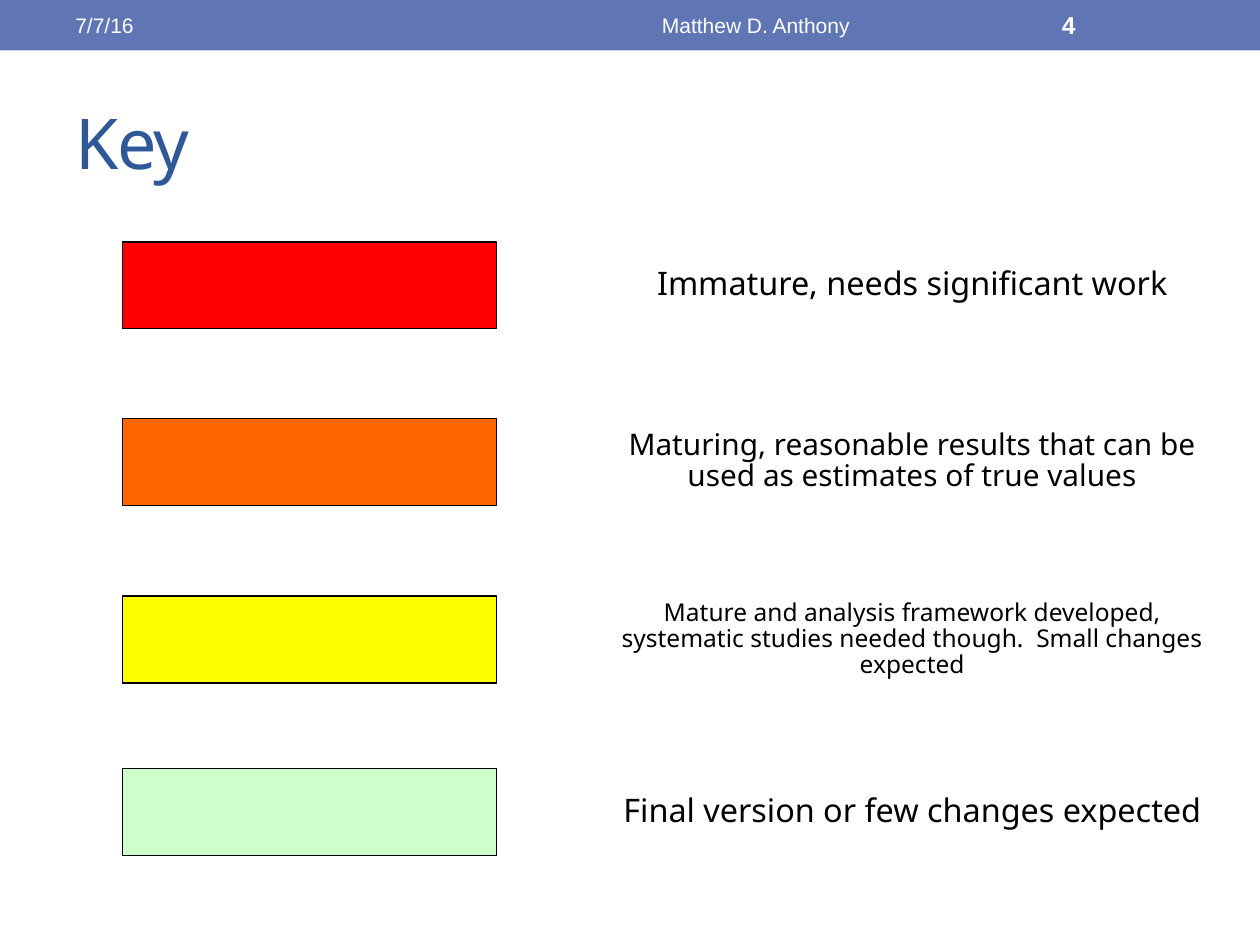
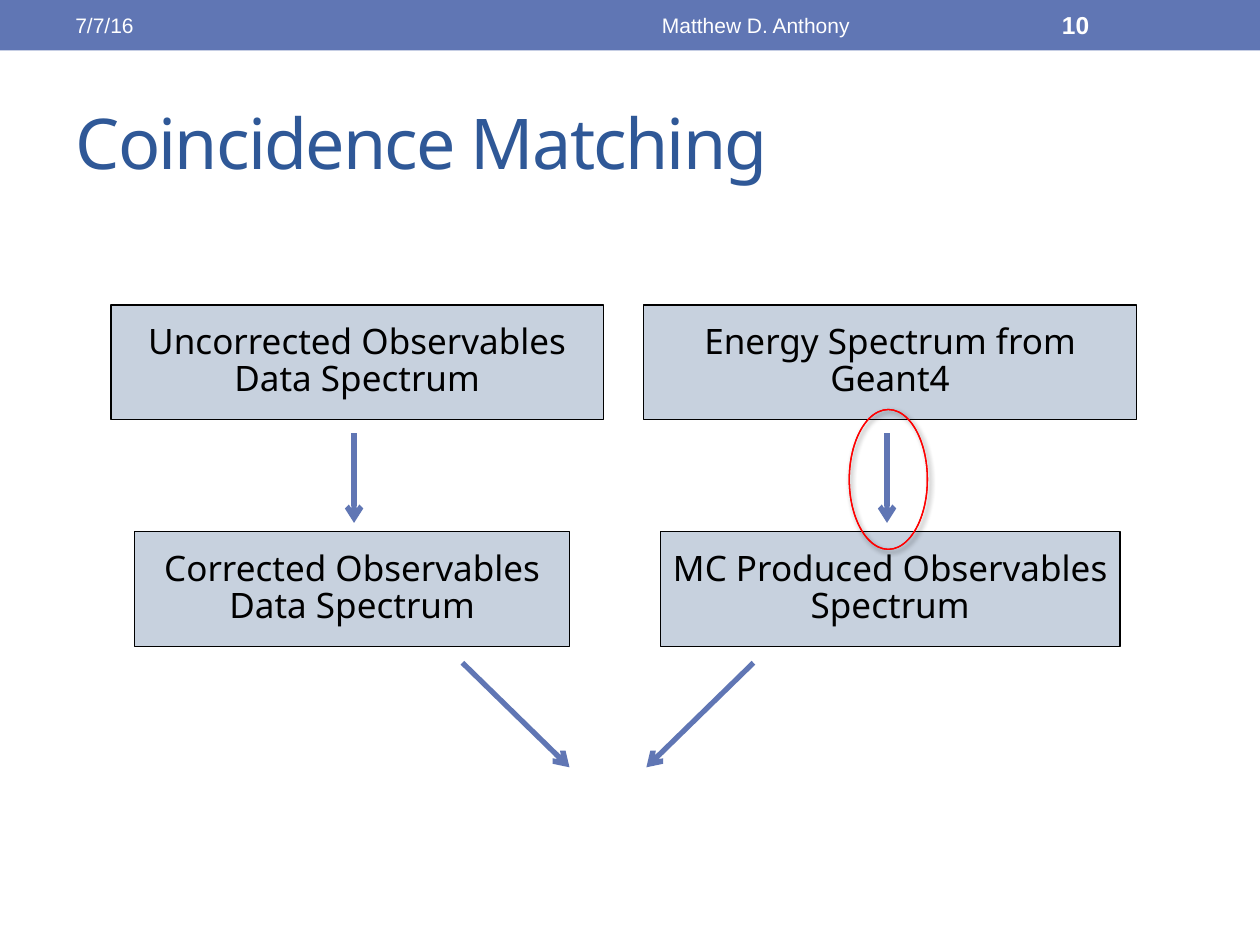
from dataclasses import dataclass
from typing import Optional

from lxml.etree import SubElement
from pptx import Presentation
from pptx.dml.color import RGBColor
from pptx.enum.shapes import MSO_CONNECTOR, MSO_SHAPE
from pptx.enum.text import MSO_ANCHOR, MSO_AUTO_SIZE, PP_ALIGN
from pptx.oxml.ns import qn
from pptx.util import Inches, Pt

WIDTH, HEIGHT = Inches(10), Inches(7.5)
COLUMNS, ROWS = 100, 75
BLUE, TITLE_BLUE, PALE_BLUE = "6076B4", "2F5897", "C7D1DE"
RED, WHITE, BLACK = "FF0000", "FFFFFF", "000000"
BODY_FONT, BAND_FONT = "Noto Sans", "Arial"
LINE_SPACING = 0.88


@dataclass(frozen=True)
class Area:
    """A rectangle measured in grid columns and rows."""
    column: float
    row: float
    columns: float
    rows: float

    def lengths(self) -> tuple:
        """Return left, top, width and height as slide lengths."""
        return across(self.column), down(self.row), across(self.columns), down(self.rows)


@dataclass(frozen=True)
class Level:
    """One colour of the key and its meaning."""
    row: float
    fill: str
    meaning: str
    size: float


@dataclass(frozen=True)
class Step:
    """One labelled box of the matching flow."""
    area: Area
    label: str


@dataclass(frozen=True)
class Arrow:
    """An arrow between two grid points."""
    start: tuple[float, float]
    end: tuple[float, float]


LEVELS = [
    Level(19.2, RED, "Immature, needs significant work", 18.5),
    Level(33.2, "FF6600", "Maturing, reasonable results that can be used as estimates of true values", 17),
    Level(47.3, "FFFF00", "Mature and analysis framework developed, systematic studies needed though.  "
          "Small changes expected", 14),
    Level(61, "CCFFCC", "Final version or few changes expected", 18.5),
]
STEPS = [
    Step(Area(8.8, 24.2, 39.1, 9.1), "Uncorrected Observables Data Spectrum"),
    Step(Area(51.1, 24.2, 39.1, 9.1), "Energy Spectrum from Geant4"),
    Step(Area(10.7, 42.2, 34.5, 9.1), "Corrected Observables Data Spectrum"),
    Step(Area(52.4, 42.2, 36.5, 9.1), "MC Produced Observables Spectrum"),
]
ARROWS = [
    Arrow((28.1, 34.4), (28.1, 41.5)),
    Arrow((70.4, 34.4), (70.4, 41.5)),
    Arrow((36.7, 52.6), (45.2, 60.9)),
    Arrow((59.8, 52.6), (51.3, 60.9)),
]


def across(columns: float) -> int:
    """Convert grid columns to a length."""
    return round(WIDTH * columns / COLUMNS)


def down(rows: float) -> int:
    """Convert grid rows to a length."""
    return round(HEIGHT * rows / ROWS)


def colour(value: str) -> RGBColor:
    """Turn a hex string into a colour."""
    return RGBColor.from_string(value)


def write(box, text: str, *, size: float, font: str = BODY_FONT, ink: str = BLACK,
          bold: bool = False, align=PP_ALIGN.LEFT, inset: float = 1,
          line_spacing: float = 1, space_before: float = 0, tracking: float = 0) -> None:
    """Fill a shape with one formatted, vertically centred paragraph."""
    frame = box.text_frame
    frame.word_wrap = True
    frame.auto_size = MSO_AUTO_SIZE.NONE
    frame.vertical_anchor = MSO_ANCHOR.MIDDLE
    frame.margin_left = frame.margin_right = across(inset)
    para = frame.paragraphs[0]
    para.alignment = align
    para.line_spacing = line_spacing
    para.space_before = Pt(space_before)
    span = para.add_run()
    span.text = text
    span.font.name = font
    span.font.size = Pt(size)
    span.font.bold = bold
    span.font.color.rgb = colour(ink)
    if tracking:
        span.font._element.set("spc", str(round(tracking * 100)))


def write_body(box, text: str, size: float) -> None:
    """Write centred black body text."""
    write(box, text, size=size, align=PP_ALIGN.CENTER, inset=0.5,
          line_spacing=LINE_SPACING, space_before=round(size * 0.2, 1))


def add_box(page, area: Area, fill: str, line: Optional[str] = BLACK, preset=MSO_SHAPE.RECTANGLE):
    """Add a filled preset shape with an optional thin outline."""
    box = page.shapes.add_shape(preset, *area.lengths())
    box.fill.solid()
    box.fill.fore_color.rgb = colour(fill)
    if line:
        box.line.color.rgb = colour(line)
        box.line.width = Pt(0.75)
    else:
        box.line.fill.background()
    box.shadow.inherit = False
    return box


def add_arrow(page, arrow: Arrow) -> None:
    """Add a thick blue arrow."""
    (left, top), (right, bottom) = arrow.start, arrow.end
    link = page.shapes.add_connector(MSO_CONNECTOR.STRAIGHT, across(left), down(top),
                                     across(right), down(bottom))
    link.line.color.rgb = colour(BLUE)
    link.line.width = Pt(3)
    SubElement(link.line._get_or_add_ln(), qn("a:tailEnd"), type="arrow")
    SubElement(link._element.spPr, qn("a:effectLst"))


def add_ring(page, area: Area) -> None:
    """Add a thin red ring with a soft shadow."""
    ring = add_box(page, area, RED, RED, MSO_SHAPE.DONUT)
    ring.adjustments[0] = 0
    effects = ring._element.spPr.find(qn("a:effectLst"))
    shadow = SubElement(effects, qn("a:outerShdw"), blurRad=str(Pt(3)), dist=str(Pt(2)),
                        dir=str(45 * 60000), rotWithShape="0")
    shade = SubElement(shadow, qn("a:srgbClr"), val=BLACK)
    SubElement(shade, qn("a:alpha"), val="60000")


def add_page(deck, title: str, number: int):
    """Add a page with its title, band and band texts."""
    page = deck.slides.add_slide(deck.slide_layouts[5])
    heading = page.shapes.title
    heading.left, heading.top, heading.width, heading.height = Area(5, 5.8, 90, 10.8).lengths()
    write(heading, title, size=40, ink=TITLE_BLUE, tracking=-1)
    add_box(page, Area(0, 0, COLUMNS, 4), BLUE, None)
    for column, columns, text, size, bold, align in (
            (5, 31.7, "7/7/16", 12, False, PP_ALIGN.LEFT),
            (37.5, 45, "Matthew D. Anthony", 12, False, PP_ALIGN.CENTER),
            (83.3, 11.7, str(number), 14, True, PP_ALIGN.LEFT)):
        box = page.shapes.add_textbox(*Area(column, 0.2, columns, 3.6).lengths())
        write(box, text, size=size, font=BAND_FONT, ink=WHITE, bold=bold, align=align)
    return page


def build_key(deck) -> None:
    """Build the page that explains the colours."""
    page = add_page(deck, "Key", 4)
    for level in LEVELS:
        add_box(page, Area(9.7, level.row, 29.7, 6.9), level.fill)
        box = page.shapes.add_textbox(*Area(48.2, level.row, 48.4, 6.9).lengths())
        write_body(box, level.meaning, level.size)


def build_matching(deck) -> None:
    """Build the page that shows the matching flow."""
    page = add_page(deck, "Coincidence Matching", 10)
    for step in STEPS:
        write_body(add_box(page, step.area, PALE_BLUE), step.label, 20)
    for arrow in ARROWS:
        add_arrow(page, arrow)
    add_ring(page, Area(67.4, 32.5, 6.2, 11.1))


def main() -> None:
    """Build and save the deck."""
    deck = Presentation()
    deck.slide_width, deck.slide_height = WIDTH, HEIGHT
    build_key(deck)
    build_matching(deck)
    deck.save("out.pptx")


if __name__ == "__main__":
    main()
